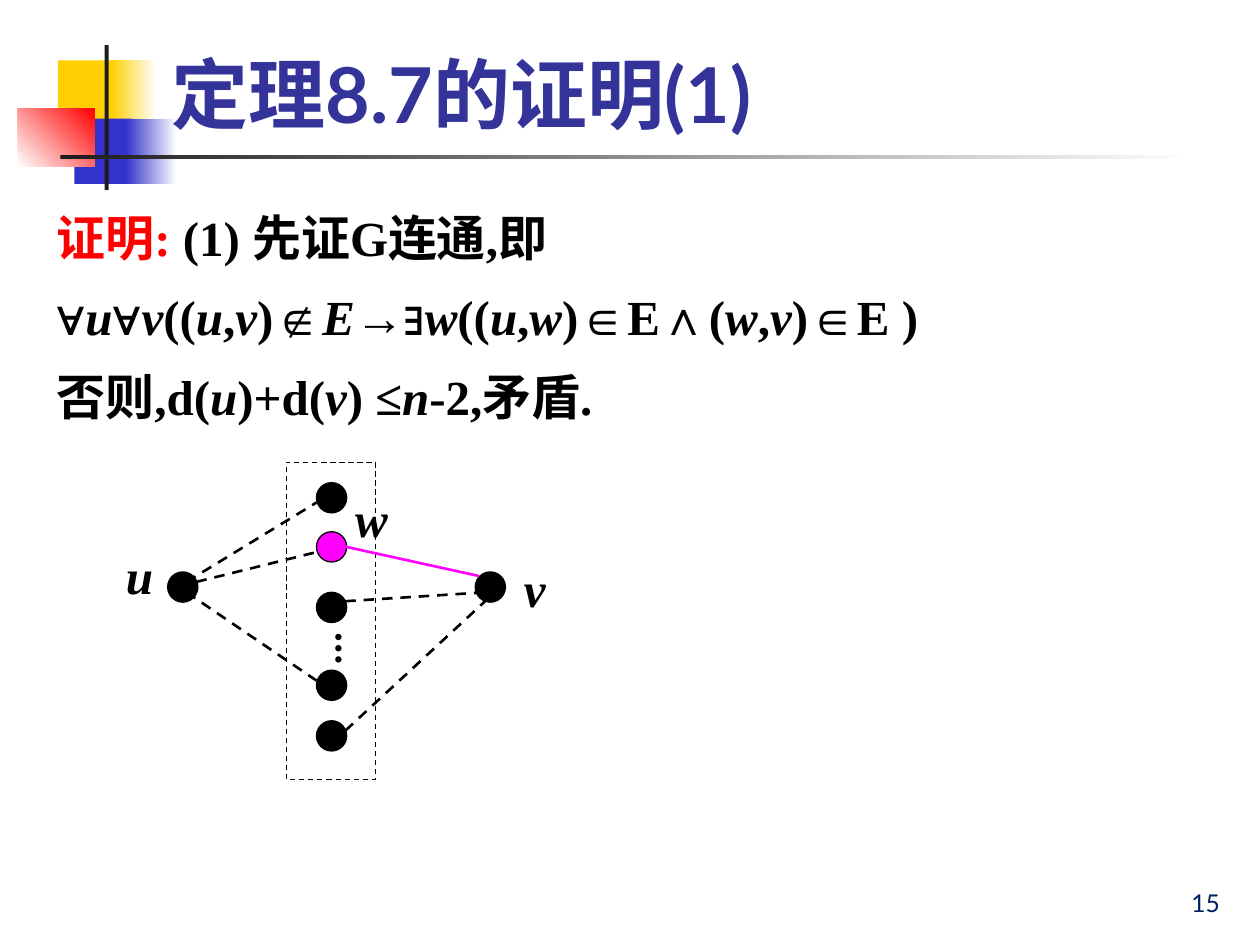
from pptx import Presentation
from pptx import util as u
from pptx.dml.color import RGBColor
from pptx.enum import dml, shapes, text
from pptx.oxml import parse_xml
from pptx.oxml.ns import nsdecls

Cm, Pt = u.Cm, u.Pt
SERIF, SANS = "Times New Roman", "Lato"
COLORS = {
    "yellow": "FFCF01", "blue": "3333CC", "red": "FF0000", "dark": "1C1C1C",
    "white": "FFFFFF", "title": "333399", "black": "000000",
    "magenta": "FF00FF", "number": "002060",
}


def rgb(name):
    return RGBColor.from_string(COLORS[name])


def add_block(s, box, start, end=None, angle=0):
    sp = s.shapes.add_shape(shapes.MSO_SHAPE.RECTANGLE, *map(Cm, box))
    sp.shadow.inherit = False
    sp.line.fill.background()
    if end is None:
        sp.fill.solid()
        sp.fill.fore_color.rgb = rgb(start)
        return
    sp.fill.gradient()
    sp.fill.gradient_angle = angle
    for stop, name, position in zip(sp.fill.gradient_stops, (start, end), (0, 1)):
        stop.color.rgb = rgb(name)
        stop.position = position


def add_decoration(s):
    add_block(s, (1.17, 1.22, 1.22, 1.32), "yellow")
    add_block(s, (2.24, 1.22, 0.91, 1.32), "yellow", "white")
    add_block(s, (1.5, 2.39, 1.17, 1.32), "blue")
    add_block(s, (2.54, 2.39, 1.02, 1.32), "blue", "white")
    add_block(s, (0.36, 2.18, 1.55, 1.17), "white", "red", 45)
    add_block(s, (2.11, 0.91, 0.08, 2.92), "dark")
    add_block(s, (1.22, 3.12, 22.86, 0.08), "dark", "white")


def format_run(r, size, font, color, bold=True, italic=False):
    r.font.size = Pt(size)
    r.font.name = font
    r.font.bold = bold
    r.font.italic = italic
    r.font.color.rgb = rgb(color)


def set_title(s, words):
    sp = s.shapes.title
    s.shapes._spTree.append(sp._element)
    sp.left, sp.top, sp.width, sp.height = map(Cm, (3.2, 0.2, 21.64, 2.72))
    tf = sp.text_frame
    tf.text = words
    tf.vertical_anchor = text.MSO_ANCHOR.BOTTOM
    p = tf.paragraphs[0]
    p.alignment = text.PP_ALIGN.LEFT
    r = p.runs[0]
    format_run(r, 44, SANS, "title")
    shadow = parse_xml(
        f'<a:effectLst {nsdecls("a")}><a:outerShdw dist="35921" dir="2700000">'
        f'<a:srgbClr val="{COLORS["black"]}"/></a:outerShdw></a:effectLst>')
    r.font._element.find("{*}solidFill").addnext(shadow)


def add_proof(s, lines):
    tf = s.shapes.add_textbox(*map(Cm, (0.89, 3.94, 23.6, 6.2))).text_frame
    tf.word_wrap = True
    for i, line in enumerate(lines):
        p = tf.paragraphs[0] if i == 0 else tf.add_paragraph()
        p.line_spacing = 1.1
        if i:
            p.space_before = Pt(8.4)
        heading, mark, rest = line.rpartition("|")
        if mark:
            r = p.add_run()
            r.text = heading
            format_run(r, 28, SERIF, "red")
        for j, part in enumerate(rest.split("_")):
            r = p.add_run()
            r.text = part
            format_run(r, 28, SERIF, "black", italic=j % 2 == 1)


def add_label(s, box, words, size, font, color="black", bold=True, italic=False):
    tf = s.shapes.add_textbox(*map(Cm, box)).text_frame
    tf.word_wrap = False
    tf.text = words
    format_run(tf.paragraphs[0].runs[0], size, font, color, bold, italic)
    return tf


def add_vertex(s, x, y, color="black"):
    sp = s.shapes.add_shape(shapes.MSO_SHAPE.OVAL, Cm(x), Cm(y), Cm(0.61), Cm(0.61))
    sp.shadow.inherit = False
    sp.fill.solid()
    sp.fill.fore_color.rgb = rgb(color)
    sp.line.color.rgb = rgb("black")
    sp.line.width = Pt(0.75)


def add_edge(s, ends, color="black", dashed=True):
    line = s.shapes.add_connector(shapes.MSO_CONNECTOR.STRAIGHT, *map(Cm, ends))
    line.line.color.rgb = rgb(color)
    line.line.width = Pt(1.5)
    if dashed:
        line.line.dash_style = dml.MSO_LINE.DASH
    line._element.spPr.append(parse_xml(f'<a:effectLst {nsdecls("a")}/>'))


def add_frame(s, box):
    sp = s.shapes.add_shape(shapes.MSO_SHAPE.RECTANGLE, *map(Cm, box))
    sp.shadow.inherit = False
    sp.fill.background()
    sp.line.color.rgb = rgb("black")
    sp.line.width = Pt(0.75)
    sp.line.dash_style = dml.MSO_LINE.DASH


def add_graph(s):
    for x in (3.38, 9.58):
        add_vertex(s, x, 11.53)
    for y in (9.73, 10.72, 11.94, 13.51, 14.53):
        add_vertex(s, 6.38, y, "magenta" if y == 10.72 else "black")
    dots = add_label(s, (6.22, 12.5, 1.52, 1.09), "…", 24, SANS)
    dots._element.bodyPr.set("vert", "eaVert")
    add_frame(s, (5.77, 9.32, 1.8, 6.4))
    for ends in (
        (3.76, 11.73, 6.38, 10.13),
        (3.96, 11.73, 6.38, 11.13),
        (3.76, 11.94, 6.38, 13.72),
        (6.96, 12.12, 9.78, 11.94),
        (6.96, 14.73, 9.78, 12.12),
    ):
        add_edge(s, ends)
    for name, x, y, width in (
        ("u", 2.29, 10.87, 1.07), ("v", 10.31, 11.13, 0.97), ("w", 6.91, 9.73, 1.17),
    ):
        add_label(s, (x, y, width, 1.45), name, 28, SERIF, italic=True)
    add_edge(s, (6.96, 11.02, 9.65, 11.61), "magenta", dashed=False)


def add_number(s, number):
    tf = add_label(s, (19.56, 17.35, 5.28, 1.27), number, 14, SANS, "number", bold=False)
    tf.word_wrap = True
    tf.vertical_anchor = text.MSO_ANCHOR.BOTTOM
    tf.paragraphs[0].alignment = text.PP_ALIGN.RIGHT


def main():
    prs = Presentation()
    prs.slide_width, prs.slide_height = Cm(25.4), Cm(19.05)
    s = prs.slides.add_slide(prs.slide_layouts[5])
    add_decoration(s)
    set_title(s, "定理8.7的证明(1)")
    add_proof(s, (
        "证明:| (1) 先证G连通,即",
        "∀_u_∀_v_((_u_,_v_)∉_E_→∃_w_((_u_,_w_)∈E∧(_w_,_v_)∈E )",
        "否则,d(_u_)+d(_v_) ≤_n_-2,矛盾.",
    ))
    add_graph(s)
    add_number(s, "15")
    prs.save("out.pptx")


if __name__ == "__main__":
    main()
